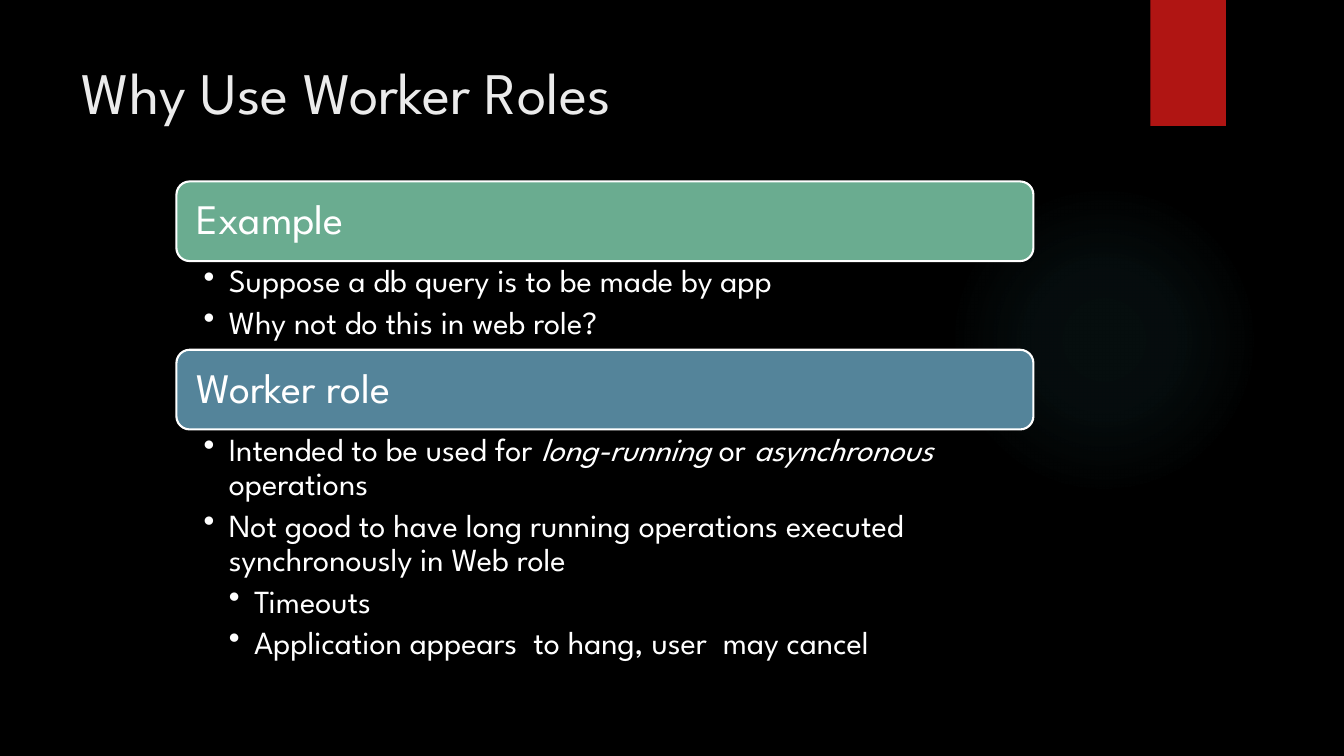
import pptx
import pptx.dml.color
import pptx.enum.shapes
import pptx.enum.text
import pptx.oxml
import pptx.oxml.ns
import pptx.util

Inches = pptx.util.Inches
Pt = pptx.util.Pt
Kind = pptx.enum.shapes.MSO_SHAPE
FONT = "League Spartan"
COLORS = {
    "back": "000000", "glow": "50B9C1", "ribbon": "B01513",
    "title": "EBEBEB", "text": "FFFFFF", "green": "6AAC90", "blue": "54849A",
}
LEFT, TOP, WIDTH, BAR = 1.75, 1.8, 8.5, 0.79

# Each part: heading, bar colour, body height, points as (level, text);
# asterisks enclose italics
PARTS = [
    ("Example", "green", 0.88, [
        (1, "Suppose a db query is to be made by app"),
        (1, "Why not do this in web role?"),
    ]),
    ("Worker role", "blue", 2.44, [
        (1, "Intended to be used for *long-running *or *asynchronous *operations"),
        (1, "Not good to have long running operations executed "
            "synchronously in Web role"),
        (2, "Timeouts"),
        (2, "Application appears  to hang, user  may cancel"),
    ]),
]


def rgb(name):
    return pptx.dml.color.RGBColor.from_string(COLORS[name])


def style(para, size, color):
    for run in para.runs:
        run.font.name = FONT
        run.font.size = Pt(size)
        run.font.color.rgb = rgb(color)


def inset(frame, left, top, right, bottom):
    frame.word_wrap = True
    frame.margin_left, frame.margin_top = Inches(left), Inches(top)
    frame.margin_right, frame.margin_bottom = Inches(right), Inches(bottom)


def add_shape(slide, kind, box, fill=None):
    shape = slide.shapes.add_shape(kind, *map(Inches, box))
    shape.shadow.inherit = False
    shape.line.fill.background()
    if fill:
        shape.fill.solid()
        shape.fill.fore_color.rgb = rgb(fill)
    return shape


def add_glow(slide, box):
    shape = add_shape(slide, Kind.OVAL, box)
    stops = "".join(
        f'<a:gs pos="{pos * 1000}"><a:srgbClr val="{COLORS["glow"]}">'
        f'<a:alpha val="{alpha * 1000}"/></a:srgbClr></a:gs>'
        for pos, alpha in [(0, 7), (36, 6), (69, 0), (100, 0)])
    grad = pptx.oxml.parse_xml(
        f'<a:gradFill {pptx.oxml.ns.nsdecls("a")}><a:gsLst>{stops}</a:gsLst>'
        '<a:path path="circle"><a:fillToRect l="50000" t="50000" '
        'r="50000" b="50000"/></a:path></a:gradFill>')
    shape._element.spPr.find(pptx.oxml.ns.qn("a:prstGeom")).addnext(grad)


def add_title(slide, text, box):
    frame = slide.shapes.add_textbox(*map(Inches, box)).text_frame
    inset(frame, 0.1, 0.05, 0.1, 0.05)
    frame.text = text
    style(frame.paragraphs[0], 42, "title")


def add_bar(slide, text, fill, top):
    bar = add_shape(slide, Kind.ROUNDED_RECTANGLE, (LEFT, top, WIDTH, BAR), fill)
    bar.line.color.rgb = rgb("text")
    bar.line.width = Pt(1.5)
    frame = bar.text_frame
    inset(frame, 0.16, 0.12, 0.16, 0.12)
    frame.vertical_anchor = pptx.enum.text.MSO_ANCHOR.MIDDLE
    frame.text = text
    para = frame.paragraphs[0]
    para.alignment = pptx.enum.text.PP_ALIGN.LEFT
    para.line_spacing = 0.9
    style(para, 30, "text")


def add_point(para, level, text):
    for i, piece in enumerate(text.split("*")):
        run = para.add_run()
        run.text = piece
        run.font.italic = i % 2 == 1
    para.level = level
    para.line_spacing = 0.9
    para.space_after = Pt(4.6)
    style(para, 23, "text")
    # Hanging bullet
    props = para._p.get_or_add_pPr()
    props.set("marL", str(Inches(0.25 * level)))
    props.set("indent", str(Inches(-0.25)))
    props.append(pptx.oxml.parse_xml(
        f'<a:buChar {pptx.oxml.ns.nsdecls("a")} char="•"/>'))


def add_body(slide, points, top, height):
    box = slide.shapes.add_textbox(*map(Inches, (LEFT, top, WIDTH, height)))
    frame = box.text_frame
    inset(frame, 0.27, 0.04, 0.23, 0.04)
    for i, (level, text) in enumerate(points):
        para = frame.add_paragraph() if i else frame.paragraphs[0]
        add_point(para, level, text)


def main():
    deck = pptx.Presentation()
    deck.slide_width, deck.slide_height = Inches(13.33), Inches(7.5)
    slide = deck.slides.add_slide(deck.slide_layouts[6])

    # Backdrop
    slide.background.fill.solid()
    slide.background.fill.fore_color.rgb = rgb("back")
    add_glow(slide, (9.41, 1.83, 3.08, 3.08))
    add_shape(slide, Kind.RECTANGLE, (11.41, 0, 0.75, 1.25), "ribbon")

    # Title
    add_title(slide, "Why Use Worker Roles", (0.71, 0.5, 10.29, 1.53))

    # Stacked bars, each with its points
    top = TOP
    for head, fill, height, points in PARTS:
        add_bar(slide, head, fill, top)
        add_body(slide, points, top + BAR, height)
        top += BAR + height

    deck.save("out.pptx")


if __name__ == "__main__":
    main()
